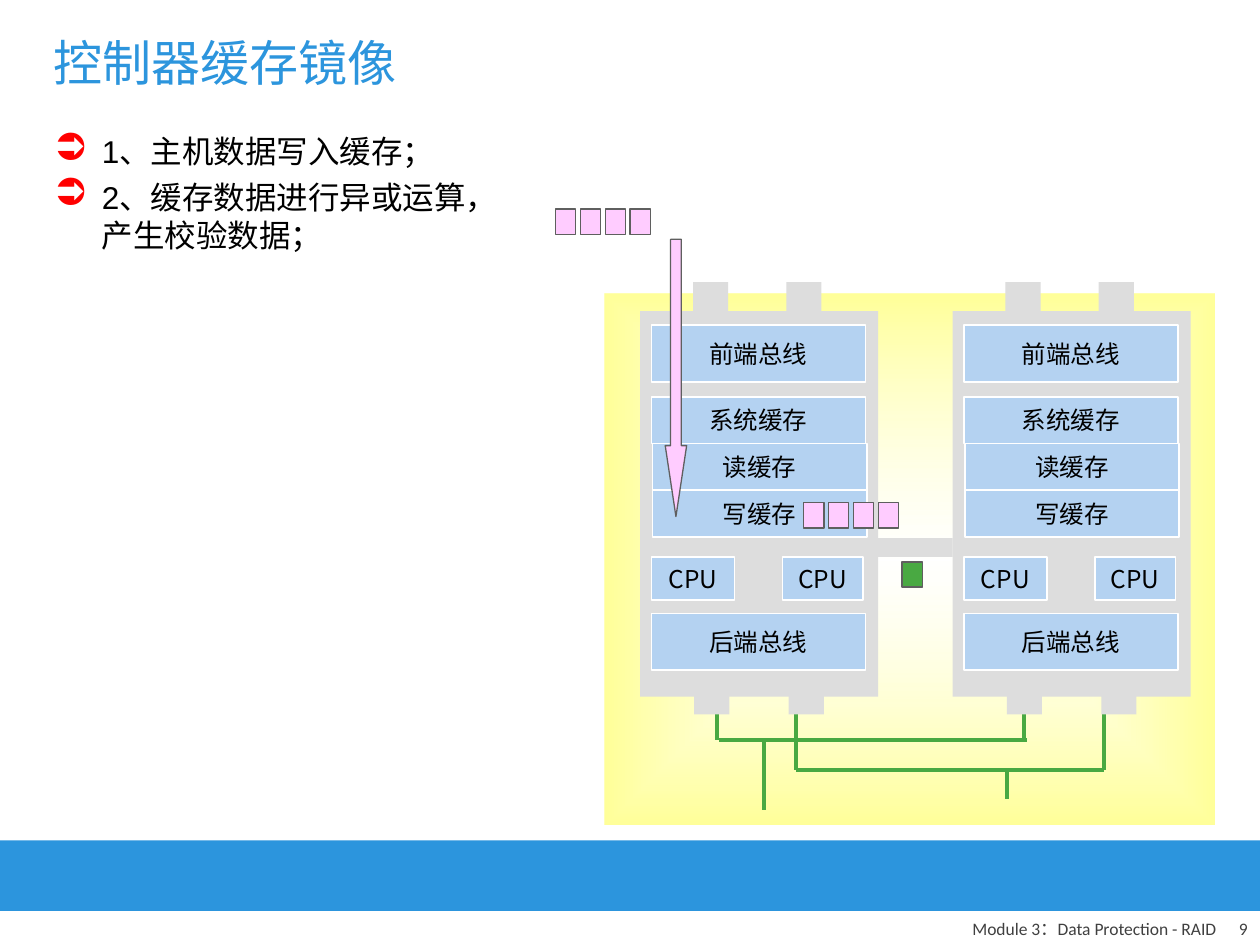
from lxml import etree
from pptx import Presentation
from pptx import util as u
from pptx.dml.color import RGBColor
from pptx.enum import shapes, text
from pptx.oxml import parse_xml
from pptx.oxml.ns import nsdecls, qn

BLUE = RGBColor(0x2C, 0x95, 0xDD)
PALE_BLUE = RGBColor(0x99, 0xCC, 0xFF)
GREEN = RGBColor(0x49, 0xA9, 0x42)
PINK = RGBColor(0xFF, 0xCC, 0xFF)
GRAY = RGBColor(0xDD, 0xDD, 0xDD)
DARK_GRAY = RGBColor(0x5F, 0x5F, 0x5F)
FOOTER_GRAY = RGBColor(0x40, 0x40, 0x40)
WHITE = RGBColor(0xFF, 0xFF, 0xFF)
BLACK = RGBColor(0, 0, 0)

RECTANGLE = shapes.MSO_SHAPE.RECTANGLE
CONTROLLER_STEP = 2.48
BLOCK_STEP = 0.197


def add_box(parent, box, fill, line=None, line_width=0.75, kind=RECTANGLE):
    shape = parent.shapes.add_shape(kind, *map(u.Inches, box))
    shape.shadow.inherit = False
    shape.fill.solid()
    shape.fill.fore_color.rgb = fill
    if line is None:
        shape.line.fill.background()
    else:
        shape.line.color.rgb = line
        shape.line.width = u.Pt(line_width)
    return shape


def write(shape, lines, font, anchor, align, wrap=True):
    """Fill the shape with one paragraph per line and return its paragraphs."""
    frame = shape.text_frame
    frame.text = "\n".join(lines)
    frame.word_wrap = wrap
    frame.vertical_anchor = anchor
    for paragraph in frame.paragraphs:
        paragraph.alignment = align
        run_font = paragraph.runs[0].font
        for name, value in font.items():
            if name == "color":
                run_font.color.rgb = value
            else:
                setattr(run_font, name, value)
    return frame.paragraphs


presentation = Presentation()
presentation.slide_width = u.Inches(10)
presentation.slide_height = u.Inches(7.5)
slide = presentation.slides.add_slide(presentation.slide_layouts[6])

TOP, MIDDLE, BOTTOM = (text.MSO_ANCHOR.TOP, text.MSO_ANCHOR.MIDDLE,
                       text.MSO_ANCHOR.BOTTOM)
LEFT, CENTER, RIGHT = (text.PP_ALIGN.LEFT, text.PP_ALIGN.CENTER,
                       text.PP_ALIGN.RIGHT)
title_font = {"name": "Times New Roman", "size": u.Pt(28), "color": BLUE}
body_font = {"name": "Arial", "size": u.Pt(18), "color": BLACK}
footer_font = {"name": "Calibri", "size": u.Pt(10), "color": FOOTER_GRAY}
label_font = {"name": "Noto Sans CJK SC", "size": u.Pt(14), "color": BLACK}

# Footer band, title, steps and footer
add_box(slide, (0, 6.67, 10, 0.56), BLUE)
steps = ["1、主机数据写入缓存；", "2、缓存数据进行异或运算，产生校验数据；"]
for box, lines, font, anchor, align in [
    ((0.33, 0.08, 9.25, 0.83), ["控制器缓存镜像"], title_font, MIDDLE, LEFT),
    ((5.17, 7.25, 4.58, 0.25), ["Module 3：Data Protection - RAID"],
     footer_font, BOTTOM, RIGHT),
    ((9.5, 7.25, 0.5, 0.25), ["9"], footer_font, BOTTOM, RIGHT),
    ((0.33, 1, 3.82, 5.25), steps, body_font, TOP, LEFT),
]:
    text_box = slide.shapes.add_textbox(*map(u.Inches, box))
    paragraphs = write(text_box, lines, font, anchor, align)

# The steps are the last text box written
for paragraph in paragraphs:
    paragraph.space_before = u.Pt(4.5)
    properties = paragraph._p.get_or_add_pPr()
    properties.set("marL", str(u.Inches(0.38)))
    properties.set("indent", str(u.Inches(-0.38)))
    color = etree.SubElement(properties, qn("a:buClr"))
    etree.SubElement(color, qn("a:srgbClr"), val="FF0000")
    etree.SubElement(properties, qn("a:buSzPct"), val="120000")
    etree.SubElement(properties, qn("a:buChar"), char="➲")

# Array enclosure with a gradient from the centre
array = slide.shapes.add_group_shape()
enclosure = add_box(array, (4.8, 2.33, 4.84, 4.21), WHITE)
solid_fill = enclosure._element.spPr.find(qn("a:solidFill"))
solid_fill.getparent().replace(solid_fill, parse_xml(
    f'<a:gradFill {nsdecls("a")} rotWithShape="1"><a:gsLst>'
    '<a:gs pos="0"><a:srgbClr val="FFFFFF"><a:alpha val="50000"/></a:srgbClr></a:gs>'
    '<a:gs pos="100000"><a:srgbClr val="FFFF99"/></a:gs></a:gsLst>'
    '<a:path path="rect"><a:fillToRect l="50000" t="50000" r="50000" b="50000"/>'
    '</a:path></a:gradFill>'))

# Back-end loops
for x1, y1, x2, y2 in [
    (5.71, 5.87, 8.15, 5.87), (5.69, 5.87, 5.69, 5.67),
    (8.13, 5.87, 8.13, 5.67), (6.06, 5.88, 6.06, 6.43),
    (6.32, 6.11, 8.76, 6.11), (6.32, 6.11, 6.32, 5.67),
    (8.76, 6.11, 8.76, 5.67), (7.99, 6.11, 7.99, 6.34),
]:
    connector = array.shapes.add_connector(
        shapes.MSO_CONNECTOR.STRAIGHT, *map(u.Inches, (x1, y1, x2, y2)))
    connector.line.color.rgb = GREEN
    connector.line.width = u.Pt(2.25)
    etree.SubElement(connector._element.spPr, qn("a:effectLst"))

# Two identical controllers
chassis = [
    (5.5, 2.24, 0.28, 0.23), (5.08, 2.47, 1.89, 3.06), (6.24, 2.24, 0.28, 0.23),
    (5.51, 5.44, 0.28, 0.23), (6.26, 5.44, 0.28, 0.23),
]
components = [
    ("前端总线", 5.17, 2.58, 1.7, 0.45),
    ("系统缓存", 5.17, 3.15, 1.7, 0.37),
    ("CPU", 5.17, 4.42, 0.66, 0.34),
    ("CPU", 6.21, 4.42, 0.64, 0.34),
    ("后端总线", 5.17, 4.87, 1.7, 0.45),
    ("读缓存", 5.18, 3.52, 1.7, 0.37),
    ("写缓存", 5.18, 3.89, 1.7, 0.37),
]
for offset in (0, CONTROLLER_STEP):
    for left, top, width, height in chassis:
        add_box(array, (left + offset, top, width, height), GRAY)
    for label, left, top, width, height in components:
        component = add_box(array, (left + offset, top, width, height),
                            PALE_BLUE, WHITE, 1)
        fill_color = component._element.spPr.find(qn("a:solidFill"))[0]
        etree.SubElement(fill_color, qn("a:alpha"), val="60000")
        write(component, [label], label_font, MIDDLE, CENTER, wrap=False)

# Link between the controllers
add_box(slide, (6.97, 4.27, 0.59, 0.15), GRAY)

# Host data, its way into the write cache, and the parity block
for left, top in [(4.41, 1.66), (6.38, 3.99)]:
    data_blocks = slide.shapes.add_group_shape()
    for index in range(4):
        add_box(data_blocks, (left + index * BLOCK_STEP, top, 0.16, 0.2),
                PINK, DARK_GRAY)
    if top < 2:
        write_arrow = add_box(slide, (5.28, 1.9, 0.17, 2.2), PINK, DARK_GRAY,
                              kind=shapes.MSO_SHAPE.DOWN_ARROW)
        write_arrow.adjustments[0] = 0.5
        write_arrow.adjustments[1] = 3.31
add_box(slide, (7.16, 4.46, 0.16, 0.2), GREEN, DARK_GRAY)

presentation.save("out.pptx")
